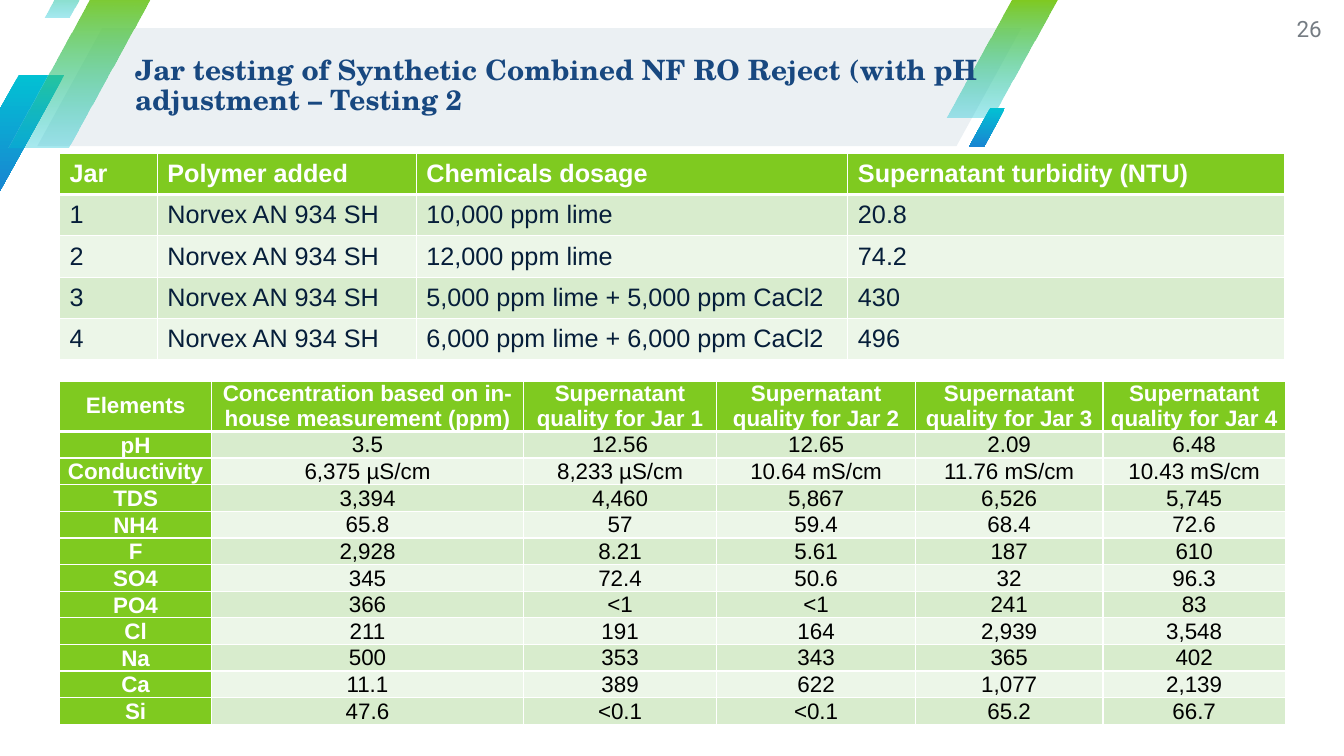
from pptx import Presentation
from pptx.dml.color import RGBColor
from pptx.enum.shapes import MSO_SHAPE
from pptx.enum.text import MSO_ANCHOR, MSO_AUTO_SIZE, PP_ALIGN
from pptx.oxml import parse_xml
from pptx.oxml.ns import nsdecls, qn
from pptx.util import Inches, Pt

GREEN, CYAN, BLUE, WHITE = "7FCA20", "02C1D3", "1985D2", "FFFFFF"
BANDS = ["ECF6E8", "D8ECCD"]


def rgb(value):
    return RGBColor.from_string(value)


def write(tf, text, color, para, font):
    p = tf.paragraphs[0]
    for name, value in para.items():
        setattr(p, name, value)
    r = p.add_run()
    r.text = text
    r.font.color.rgb = rgb(color)
    for name, value in font.items():
        setattr(r.font, name, value)


prs = Presentation()
prs.slide_width, prs.slide_height = Inches(13.33), Inches(7.5)
s = prs.slides.add_slide(prs.slide_layouts[5])

# Slanted banner and ribbons: left, top, width, height, slant, colours, end opacity
ribbons = [
    (0.37, 0.28, 9.76, 1.17, 0.55, ["EBF0F3"], 100),
    (-0.46, 0.74, 1.1, 1.17, 0.59, [CYAN, BLUE], 100),
    (9.39, 0, 1.1, 1.17, 0.59, [GREEN, CYAN], 34),
    (0.08, -0.1, 1.46, 1.56, 0.59, [GREEN, CYAN], 34),
    (0.44, -0.48, 0.61, 0.65, 0.59, [GREEN, CYAN], 34),
    (9.61, 1.07, 0.36, 0.39, 0.59, [CYAN, BLUE], 100),
]
for *box, slant, colors, opacity in ribbons:
    sp = s.shapes.add_shape(MSO_SHAPE.PARALLELOGRAM, *map(Inches, box))
    sp.adjustments[0] = slant
    sp.shadow.inherit = False
    sp.line.fill.background()
    if len(colors) == 1:
        sp.fill.solid()
        sp.fill.fore_color.rgb = rgb(colors[0])
        continue
    sp.fill.gradient()
    sp.fill.gradient_angle = 270
    for stop, color in zip(sp.fill.gradient_stops, colors):
        stop.color.rgb = rgb(color)
    if opacity < 100:
        end = list(sp._element.spPr.iter(qn("a:srgbClr")))[-1]
        end.append(parse_xml(f'<a:alpha {nsdecls("a")} val="{opacity * 1000}"/>'))

# Title, in front of the banner, and page number
title = s.shapes.title
s.shapes._spTree.append(title._element)
number = s.shapes.add_textbox(0, 0, 0, 0)
headings = [
    (title, (1.34, 0.26, 8.79, 1.19),
     "Jar testing of Synthetic Combined NF RO Reject (with pH adjustment – Testing 2",
     "184880", {"alignment": PP_ALIGN.LEFT, "line_spacing": 0.9},
     {"name": "TeX Gyre Schola", "size": Pt(20), "bold": True}),
    (number, (12.48, 0, 0.63, 0.57), "26", "757C83",
     {"alignment": PP_ALIGN.RIGHT}, {"name": "Roboto", "size": Pt(16)}),
]
for sp, box, text, color, para, font in headings:
    sp.left, sp.top, sp.width, sp.height = map(Inches, box)
    tf = sp.text_frame
    layout = {"word_wrap": True, "auto_size": MSO_AUTO_SIZE.NONE,
              "vertical_anchor": MSO_ANCHOR.MIDDLE, "margin_left": 0,
              "margin_top": 0, "margin_right": 0, "margin_bottom": 0}
    for name, value in layout.items():
        setattr(tf, name, value)
    write(tf, text, color, para, font)

# Table contents
quality_rows = [
    ["Elements", "Concentration based on in-house measurement (ppm)"]
    + [f"Supernatant quality for Jar {n}" for n in range(1, 5)],
    ["pH", "3.5", "12.56", "12.65", "2.09", "6.48"],
    ["Conductivity", "6,375 µS/cm", "8,233 µS/cm", "10.64 mS/cm", "11.76 mS/cm", "10.43 mS/cm"],
    ["TDS", "3,394", "4,460", "5,867", "6,526", "5,745"],
    ["NH4", "65.8", "57", "59.4", "68.4", "72.6"],
    ["F", "2,928", "8.21", "5.61", "187", "610"],
    ["SO4", "345", "72.4", "50.6", "32", "96.3"],
    ["PO4", "366", "<1", "<1", "241", "83"],
    ["Cl", "211", "191", "164", "2,939", "3,548"],
    ["Na", "500", "353", "343", "365", "402"],
    ["Ca", "11.1", "389", "622", "1,077", "2,139"],
    ["Si", "47.6", "<0.1", "<0.1", "65.2", "66.7"],
]
polymer = "Norvex AN 934 SH"
jar_rows = [
    ["Jar", "Polymer added", "Chemicals dosage", "Supernatant turbidity (NTU)"],
    ["1", polymer, "10,000 ppm lime", "20.8"],
    ["2", polymer, "12,000 ppm lime", "74.2"],
    ["3", polymer, "5,000 ppm lime + 5,000 ppm CaCl2", "430"],
    ["4", polymer, "6,000 ppm lime + 6,000 ppm CaCl2", "496"],
]
head_margins, value_margins = (0.03, 0, 0.03, 0), (0.01, 0.01, 0.01, 0)
jar_margins = (0.1, 0.05, 0.1, 0.05)

# Both tables: rows, top, column widths, header and row heights, size, text colour,
# alignment, head and value margins, whether the first column is a heading
tables = [
    (quality_rows, 3.78, [1.51, 3.09, 1.92, 1.97, 1.86, 1.81], 0.5, 0.26, 16,
     "000000", PP_ALIGN.CENTER, head_margins, value_margins, True),
    (jar_rows, 1.52, [0.97, 2.57, 4.28, 4.33], 0.41, 0.41, 18,
     "061E3A", PP_ALIGN.LEFT, jar_margins, jar_margins, False),
]
for (rows, top, widths, head_h, row_h, size, ink, align,
     head_m, value_m, side_heads) in tables:
    height = head_h + row_h * (len(rows) - 1)
    table = s.shapes.add_table(len(rows), len(widths), Inches(0.59), Inches(top),
                               Inches(sum(widths)), Inches(height)).table
    table.first_col = side_heads
    for col, width in zip(table.columns, widths):
        col.width = Inches(width)
    for i, row in enumerate(rows):
        table.rows[i].height = Inches(row_h if i else head_h)
        for j, text in enumerate(row):
            cell = table.cell(i, j)
            side = side_heads and j == 0
            heading = i == 0 or side
            cell.vertical_anchor = MSO_ANCHOR.MIDDLE
            margins = head_m if heading else value_m
            for edge, value in zip(["left", "top", "right", "bottom"], margins):
                setattr(cell, f"margin_{edge}", Inches(value))
            cell.fill.solid()
            cell.fill.fore_color.rgb = rgb(GREEN if heading else BANDS[i % 2])
            para = {"alignment": align}
            if side and i:
                para.update(line_spacing=1.07, space_after=Pt(8))
            write(cell.text_frame, text, WHITE if heading else ink, para,
                  {"name": "Arial", "size": Pt(size), "bold": heading})
            # White borders, thick under the header row
            thick = {("B", 0), ("T", 1)}
            for k, edge in enumerate("LRTB"):
                width = Pt(3 if (edge, i) in thick else 1)
                cell._tc.get_or_add_tcPr().insert(k, parse_xml(
                    f'<a:ln{edge} {nsdecls("a")} w="{width}"><a:solidFill>'
                    f'<a:srgbClr val="{WHITE}"/></a:solidFill></a:ln{edge}>'))

prs.save("out.pptx")
